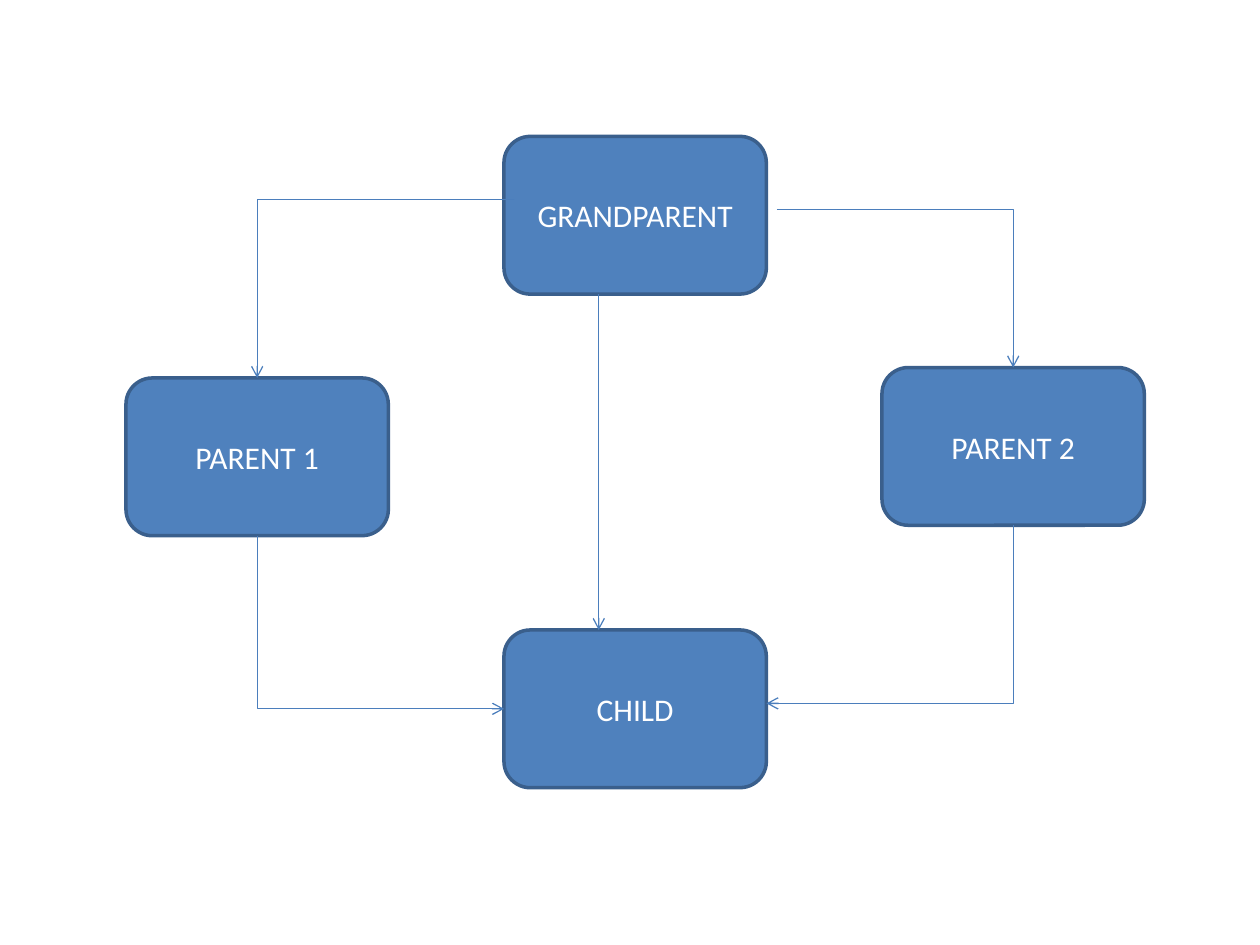
import dataclasses

import pptx
import pptx.dml.color
import pptx.enum.shapes
import pptx.enum.text
import pptx.oxml
import pptx.oxml.ns
import pptx.util

Cm = pptx.util.Cm
Pt = pptx.util.Pt
qn = pptx.oxml.ns.qn


@dataclasses.dataclass(frozen=True)
class Theme:
    fill: str = "4F81BD"
    border: str = "3A5F8C"
    arrow: str = "4B7EBC"
    text: str = "FFFFFF"
    font: str = "Calibri"
    text_size: float = 18
    border_width: float = 2
    arrow_width: float = 0.75


class Diagram:
    box_width = 5.29
    box_height = 3.18

    def __init__(self, slide, theme):
        self.s = slide
        self.theme = theme

    def color(self, value):
        return pptx.dml.color.RGBColor.from_string(value)

    def box(self, text, left, top):
        t = self.theme
        sp = self.s.shapes.add_shape(
            pptx.enum.shapes.MSO_SHAPE.ROUNDED_RECTANGLE,
            Cm(left), Cm(top), Cm(self.box_width), Cm(self.box_height))
        sp.shadow.inherit = False
        sp.fill.solid()
        sp.fill.fore_color.rgb = self.color(t.fill)
        sp.line.color.rgb = self.color(t.border)
        sp.line.width = Pt(t.border_width)
        tf = sp.text_frame
        tf.word_wrap = True
        tf.vertical_anchor = pptx.enum.text.MSO_ANCHOR.MIDDLE
        p = tf.paragraphs[0]
        p.alignment = pptx.enum.text.PP_ALIGN.CENTER
        r = p.add_run()
        r.text = text
        r.font.name = t.font
        r.font.size = Pt(t.text_size)
        r.font.color.rgb = self.color(t.text)
        return sp

    def arrow(self, start, end, kind=pptx.enum.shapes.MSO_CONNECTOR.STRAIGHT):
        c = self.s.shapes.add_connector(kind, *map(Cm, (*start, *end)))
        c.line.color.rgb = self.color(self.theme.arrow)
        c.line.width = Pt(self.theme.arrow_width)
        tail = pptx.oxml.parse_xml(
            f'<a:tailEnd {pptx.oxml.ns.nsdecls("a")} type="arrow"/>')
        c.line._get_or_add_ln().append(tail)
        effects = pptx.oxml.parse_xml(
            f'<a:effectLst {pptx.oxml.ns.nsdecls("a")}/>')
        c._element.spPr.append(effects)
        return c

    def corner_across(self, start, end):
        c = self.arrow(start, end, pptx.enum.shapes.MSO_CONNECTOR.ELBOW)
        c._element.spPr.find(qn("a:prstGeom")).set("prst", "bentConnector2")
        return c

    def corner_down(self, start, end):
        (x1, y1), (x2, y2) = start, end
        mid_x, mid_y = (x1 + x2) / 2, (y1 + y2) / 2
        half_w, half_h = (y2 - y1) / 2, abs(x2 - x1) / 2
        side = 1 if x2 < x1 else -1
        c = self.corner_across((mid_x - side * half_w, mid_y - half_h),
                               (mid_x + side * half_w, mid_y + half_h))
        degrees = 90 if side == 1 else 270
        c._element.spPr.find(qn("a:xfrm")).set("rot", str(degrees * 60000))
        return c


def main():
    prs = pptx.Presentation()
    prs.slide_width = Cm(25.4)
    prs.slide_height = Cm(19.05)
    d = Diagram(prs.slides.add_slide(prs.slide_layouts[6]), Theme())

    left, center, right = 2.54, 10.16, 17.78
    grand_top, parent1_top, parent2_top, child_top = 2.75, 7.62, 7.41, 12.7
    w, h = d.box_width, d.box_height
    parent1_x, parent2_x = left + w / 2, right + w / 2

    d.box("PARENT 1", left, parent1_top)
    d.box("PARENT 2", right, parent2_top)
    d.box("GRANDPARENT", center, grand_top)
    d.box("CHILD", center, child_top)

    d.corner_across((10.37, 4.02), (parent1_x, parent1_top))
    d.corner_across((15.66, 4.23), (parent2_x, parent2_top))
    d.corner_down((parent2_x, parent2_top + h), (center + w, 14.18))
    d.corner_down((parent1_x, parent1_top + h), (center, child_top + h / 2))
    d.arrow((12.07, grand_top + h), (12.07, child_top))

    prs.save("out.pptx")


if __name__ == "__main__":
    main()
